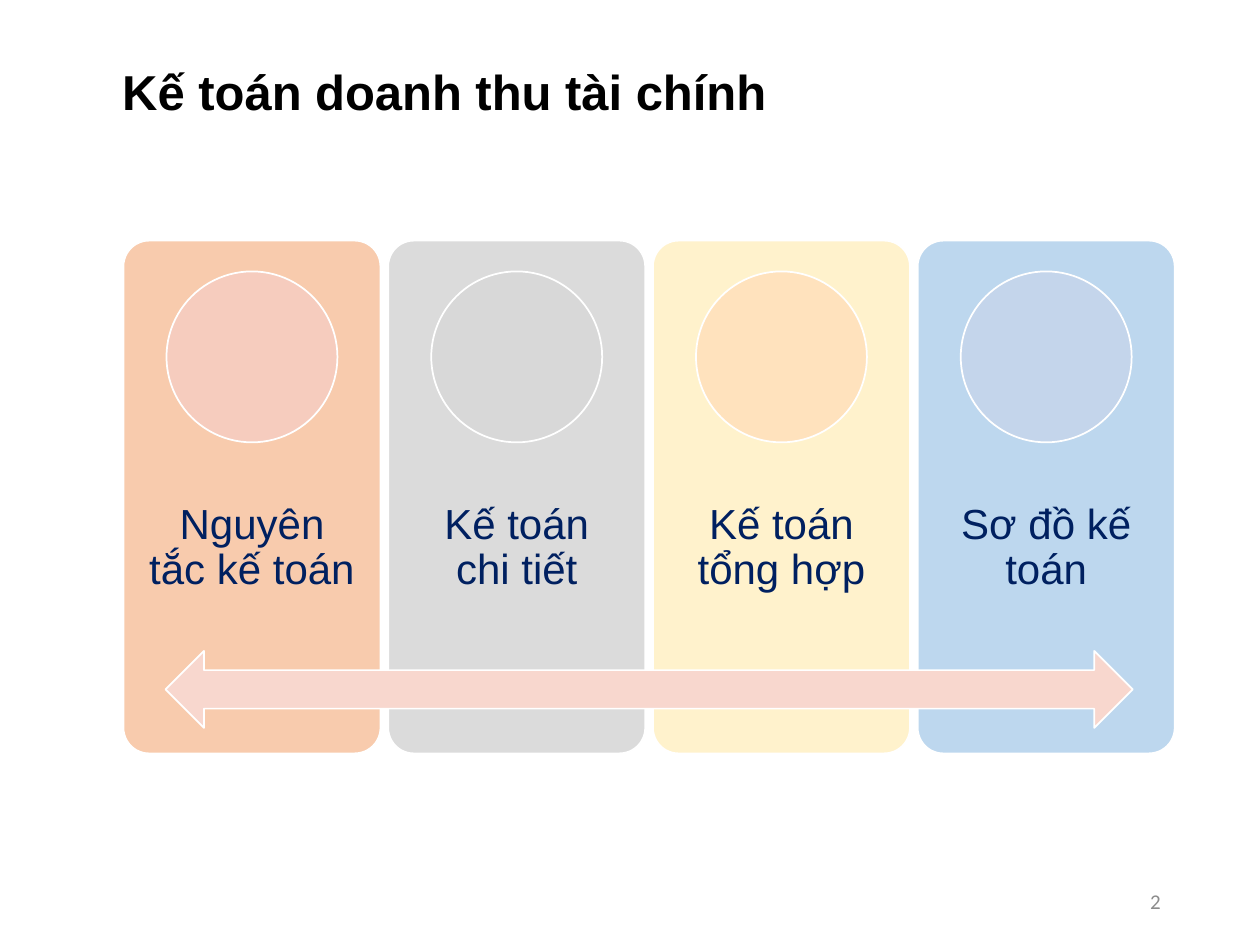
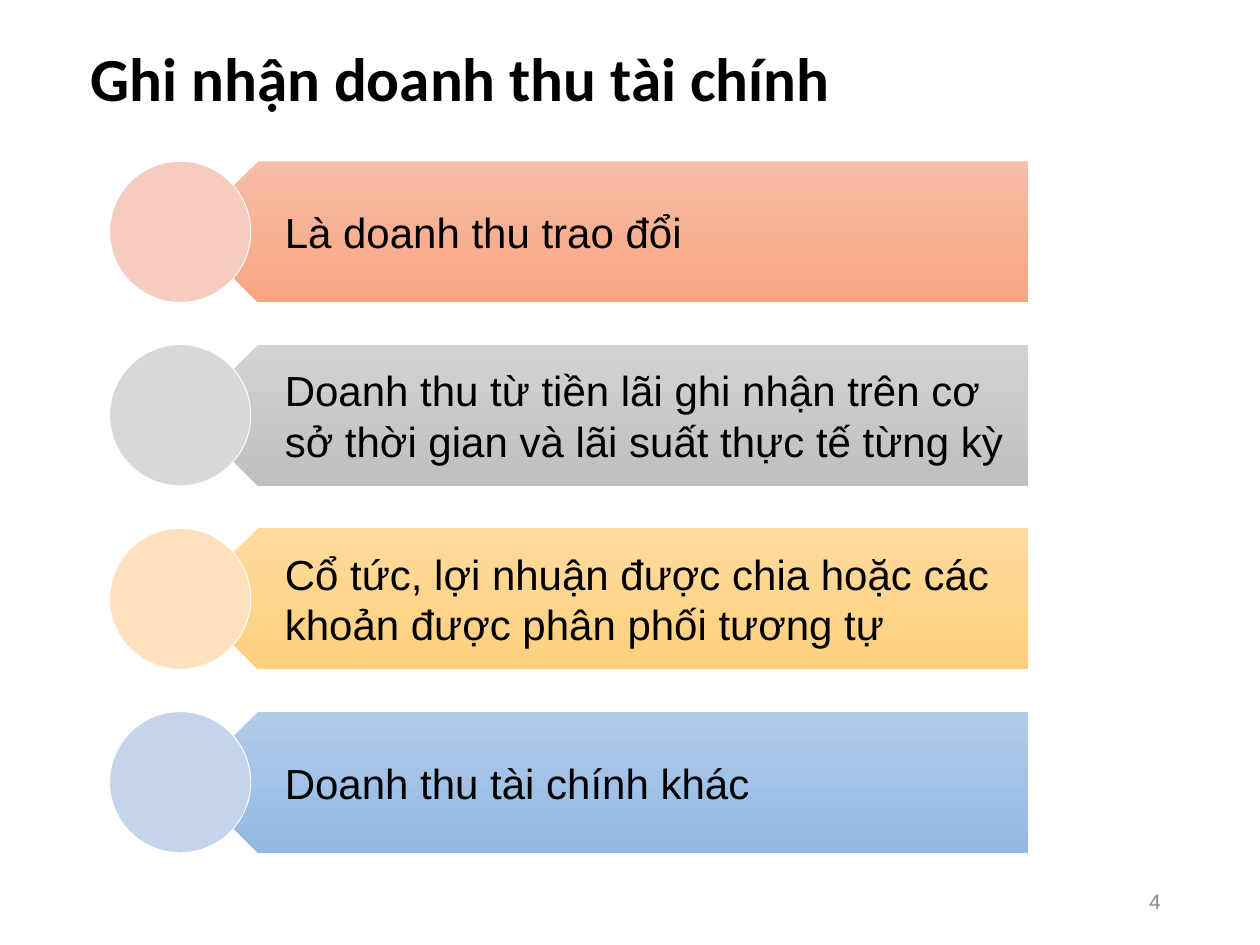
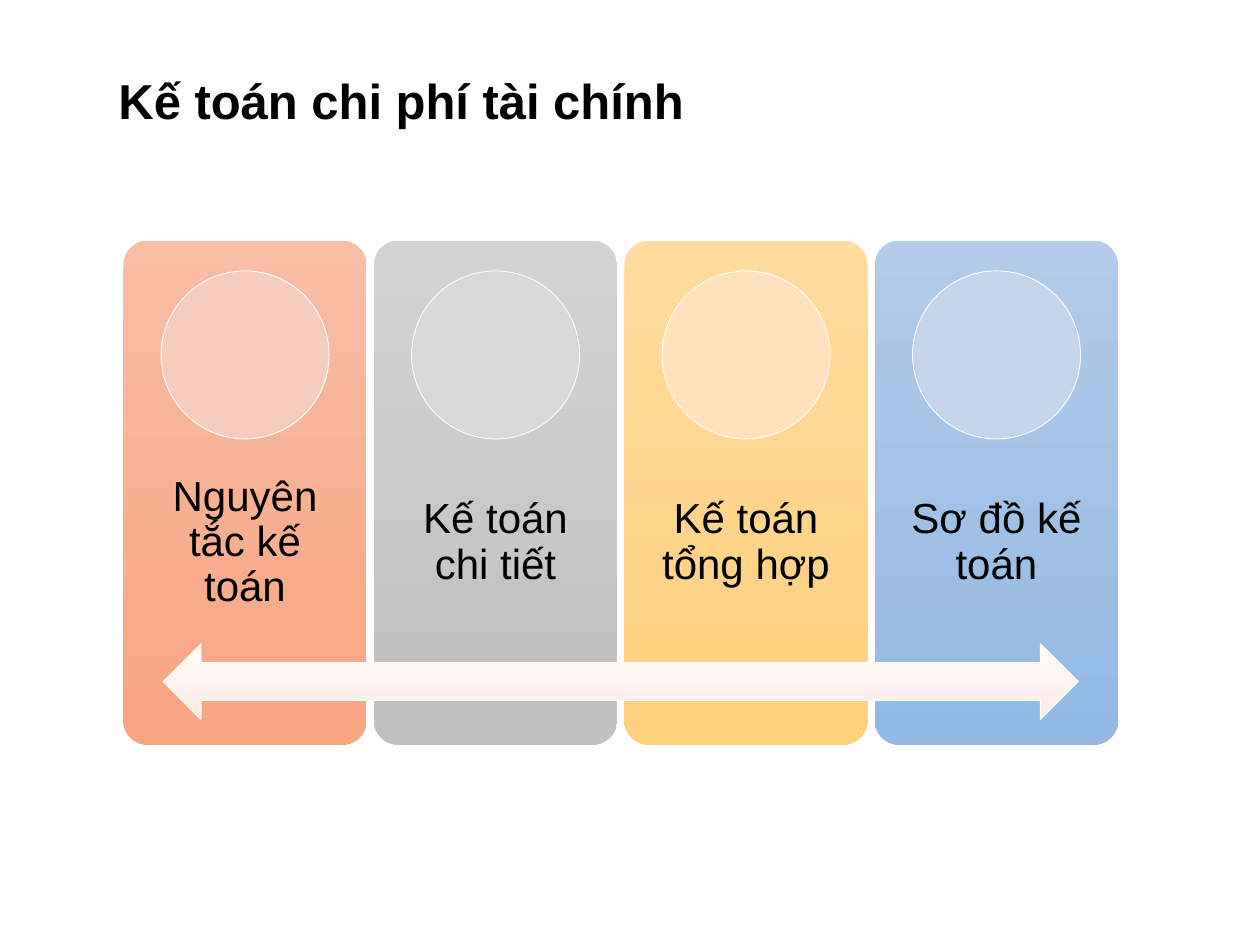
import dataclasses

import pptx
import pptx.dml.color
import pptx.enum.shapes
import pptx.enum.text
import pptx.util

Inches = pptx.util.Inches
Shape = pptx.enum.shapes.MSO_SHAPE
Align = pptx.enum.text.PP_ALIGN
Anchor = pptx.enum.text.MSO_ANCHOR
Fit = pptx.enum.text.MSO_AUTO_SIZE


@dataclasses.dataclass(frozen=True)
class Theme:
    sans: str = "Arial"
    head: str = "Calibri"
    black: str = "000000"
    navy: str = "002060"
    gray: str = "8C8C8C"
    white: str = "FFFFFF"
    title: int = 28
    large: int = 35
    body: int = 24
    small: int = 12
    flat: tuple = ("F8CBAD", "DBDBDB", "FFF2CC", "BDD7EE")
    shade: tuple = (("F7BDA5", "F8A582"), ("D2D2D2", "C0C0C0"),
                    ("FFDB9E", "FFD07C"), ("B1CBE9", "93B9E4"))
    disc: tuple = ("F6CCBE", "D8D8D8", "FFE2BD", "C4D5EB")
    arrow: str = "F8D7CE"
    glow: tuple = ("FEFAF8", "FDECE7")


THEME = Theme()
TOPICS = ("Nguyên tắc kế toán", "Kế toán chi tiết",
          "Kế toán tổng hợp", "Sơ đồ kế toán")
RULES = (
    "Là doanh thu trao đổi",
    "Doanh thu từ tiền lãi ghi nhận trên cơ sở thời gian và lãi suất thực tế từng kỳ",
    "Cổ tức, lợi nhuận được chia hoặc các khoản được phân phối tương tự",
    "Doanh thu tài chính khác",
)


def tint(code):
    return pptx.dml.color.RGBColor.from_string(code)


def paint(shape, fill, line):
    shape.shadow.inherit = False
    if isinstance(fill, tuple):
        shape.fill.gradient()
        shape.fill.gradient_angle = 270
        for stop, code in zip(shape.fill.gradient_stops, fill):
            stop.color.rgb = tint(code)
    else:
        shape.fill.solid()
        shape.fill.fore_color.rgb = tint(fill)
    if line:
        shape.line.color.rgb = tint(THEME.white)
        shape.line.width = pptx.util.Pt(line)
    else:
        shape.line.fill.background()


def add_form(slide, kind, box, fill, line=0):
    shape = slide.shapes.add_shape(kind, *map(Inches, box))
    paint(shape, fill, line)
    return shape


def write(shape, text, size, color, font, align=Align.LEFT,
          anchor=Anchor.MIDDLE, pads=(0.1, 0.05, 0.1, 0.05), bold=False, lead=1.0):
    frame = shape.text_frame
    frame.text = text
    frame.word_wrap = True
    frame.vertical_anchor = anchor
    (frame.margin_left, frame.margin_top,
     frame.margin_right, frame.margin_bottom) = map(Inches, pads)
    para = frame.paragraphs[0]
    para.alignment = align
    para.line_spacing = lead
    for run in para.runs:
        run.font.size = pptx.util.Pt(size)
        run.font.name = font
        run.font.bold = bold
        run.font.color.rgb = tint(color)


def add_label(slide, box, text, size, color, font, **style):
    label = slide.shapes.add_textbox(*map(Inches, box))
    write(label, text, size, color, font, **style)


def add_slide(deck, text, box, size=THEME.title, font=THEME.sans,
              fit=Fit.SHAPE_TO_FIT_TEXT, **style):
    slide = deck.slides.add_slide(deck.slide_layouts[5])
    title = slide.shapes.title
    title.left, title.top, title.width, title.height = map(Inches, box)
    write(title, text, size, THEME.black, font, bold=True, **style)
    title.text_frame.auto_size = fit
    return slide


def add_page(slide, number, font):
    add_label(slide, (7.06, 6.95, 2.25, 0.4), number, THEME.small,
              THEME.gray, font, align=Align.RIGHT)


def add_cards(slide, width, height, fills, color, edge, line, arrow):
    left, top = 0.98, 1.91
    step = width * 1.03
    disc = height / 3
    for i, topic in enumerate(TOPICS):
        x = left + i * step
        card = add_form(slide, Shape.ROUNDED_RECTANGLE,
                        (x, top, width, height), fills[i], edge)
        card.adjustments[0] = 0.1
        add_label(slide, (x, top + 0.4 * height, width, 0.4 * height), topic,
                  THEME.body, color, THEME.sans, align=Align.CENTER,
                  pads=(0.19,) * 4, lead=0.9)
        add_form(slide, Shape.OVAL,
                 (x + (width - disc) / 2, top + 0.06 * height, disc, disc),
                 THEME.disc[i], line)
    span = step * (len(TOPICS) - 1) + width
    add_form(slide, Shape.LEFT_RIGHT_ARROW,
             (left + 0.04 * span, top + 0.8 * height, 0.92 * span, 0.15 * height),
             arrow, line)


def add_rows(slide):
    left, top, size, step = 0.87, 1.28, 1.12, 1.456
    for i, rule in enumerate(RULES):
        y = top + i * step
        band = add_form(slide, Shape.PENTAGON, (1.49, y, 6.67, size),
                        THEME.shade[i])
        band._element.spPr.xfrm.set("flipH", "1")
        add_label(slide, (1.77, y, 6.39, size), rule, THEME.body,
                  THEME.black, THEME.sans, pads=(0.49, 0.1, 0.19, 0.1))
        add_form(slide, Shape.OVAL, (left, y, size, size), THEME.disc[i], 0.5)


def main():
    deck = pptx.Presentation()
    deck.slide_width, deck.slide_height = Inches(10), Inches(7.5)

    income = add_slide(deck, "Kế toán doanh thu tài chính",
                       (0.87, 0.44, 7.51, 0.57), anchor=Anchor.TOP)
    add_page(income, "2", THEME.head)
    add_cards(income, 2.04, 4.07, THEME.flat, THEME.navy, 1, 1, THEME.arrow)

    record = add_slide(deck, "Ghi nhận doanh thu tài chính",
                       (0.51, 0.03, 8.62, 1.24), THEME.large, THEME.head,
                       Fit.NONE, pads=(0.21, 0.05, 0.1, 0.05), lead=0.9)
    add_page(record, "4", THEME.sans)
    add_rows(record)

    cost = add_slide(deck, "Kế toán chi phí tài chính",
                     (0.84, 0.51, 5.65, 0.57), anchor=Anchor.TOP)
    add_cards(cost, 1.93, 4, THEME.shade, THEME.black, 0, 0.5, THEME.glow)

    deck.save("out.pptx")


if __name__ == "__main__":
    main()
